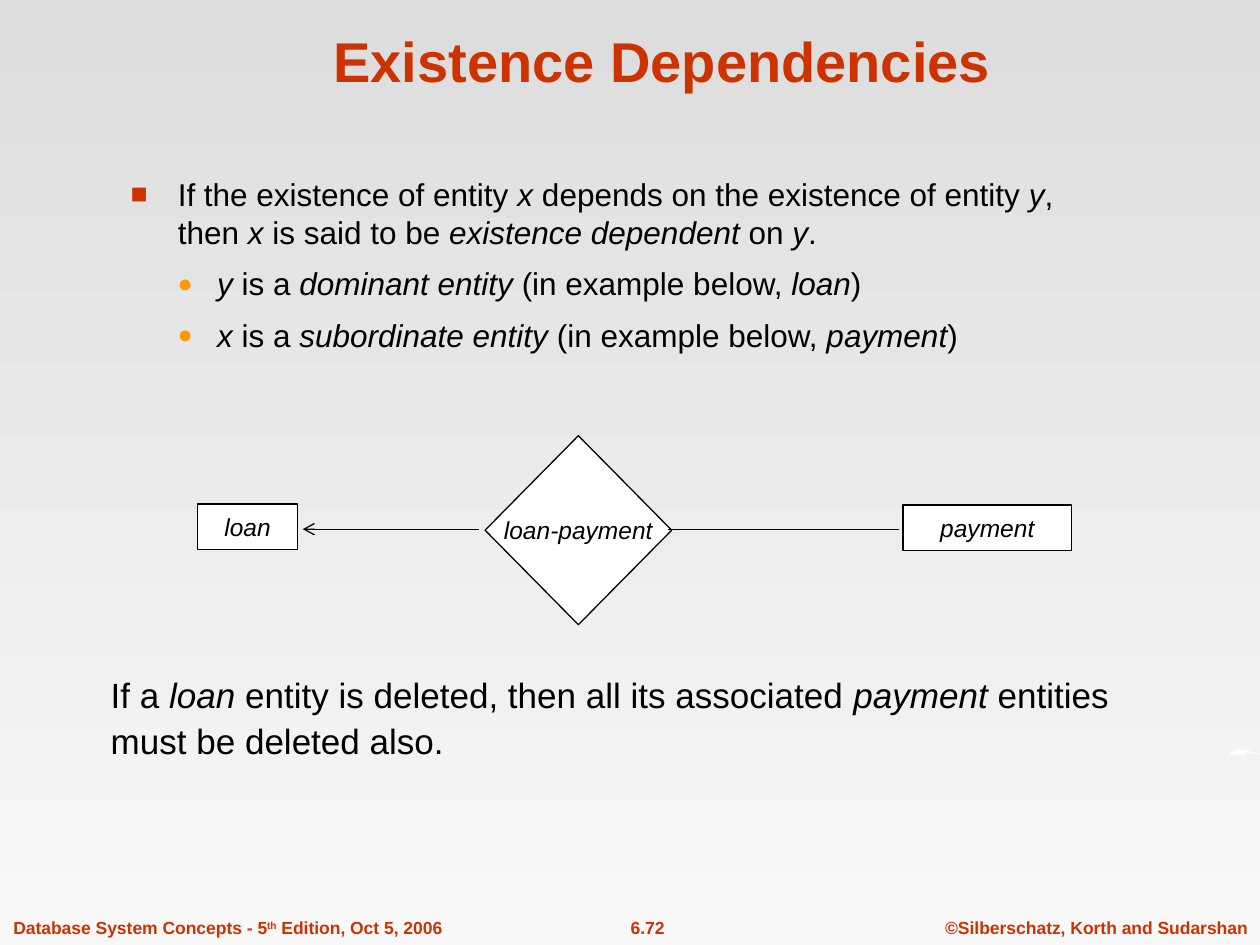
import pptx
import pptx.util
import pptx.dml.color
import pptx.enum.shapes
import pptx.enum.text
import pptx.oxml
import pptx.oxml.ns
from lxml import etree

Pt = pptx.util.Pt
RGBColor = pptx.dml.color.RGBColor
SHAPE = pptx.enum.shapes.MSO_SHAPE
ALIGN = pptx.enum.text.PP_ALIGN
ANCHOR = pptx.enum.text.MSO_ANCHOR
qn = pptx.oxml.ns.qn

BLACK = RGBColor(0, 0, 0)
WHITE = RGBColor(255, 255, 255)
RED = RGBColor(0xCC, 0x33, 0x00)
ORANGE = RGBColor(0xFF, 0x99, 0x00)
BG_TOP = RGBColor(0xDD, 0xDD, 0xDD)
BG_BOTTOM = RGBColor(0xF8, 0xF8, 0xF8)

# In all texts, *...* is italic and ^...^ is superscript.
TITLE = "Existence Dependencies"
BULLETS = [
    (0, "If the existence of entity *x* depends on the existence of entity *y*, "
        "then *x* is said to be *existence dependent *on *y*."),
    (1, "*y* is a *dominant entity* (in example below, *loan*)"),
    (1, "*x* is a *subordinate entity* (in example below, *payment*)"),
]
# level: text indent, hanging, character, colour, size in percent
BULLET_STYLES = [(27, 27, "■", RED, 90), (49.5, 22.5, "●", ORANGE, 80)]
CONCLUSION = ("If a *loan* entity is deleted, then all its associated* payment *"
              "entities must be deleted also.")
FOOTERS = [  # left, width, alignment, text
    (0.5, 300, ALIGN.LEFT, "Database System Concepts - 5^th^ Edition, Oct 5, 2006"),
    (334.8, 70.5, ALIGN.CENTER, "6.72"),
    (500, 220, ALIGN.RIGHT, "©Silberschatz, Korth and Sudarshan"),
]
NODES = [  # shape, box, label
    (SHAPE.DIAMOND, (277.2, 249, 106.6, 108), "loan-payment"),
    (SHAPE.RECTANGLE, (516, 288.5, 96.5, 26), "payment"),
    (SHAPE.RECTANGLE, (113, 288, 57, 26), "loan"),
]
LINK_Y = 302.4
LINKS = [(273.8, 173, True), (381.8, 513.5, False)]  # from x, to x, arrow
SWOOSH = [  # hundredths of an inch
    (975, 601), (976, 598), (979, 596), (983, 595), (988, 595), (994, 597),
    (1000, 598), (998, 599), (993, 598), (988, 597), (988, 600), (985, 597),
    (985, 600), (982, 597), (983, 600), (980, 598), (977, 599),
]


def add_runs(p, text, size, color, bold=False):
    for i, slanted in enumerate(text.split("*")):
        for j, part in enumerate(slanted.split("^")):
            if not part:
                continue
            r = p.add_run()
            r.text = part
            r.font.name = "Arial"
            r.font.size = Pt(size)
            r.font.color.rgb = color
            r.font.bold = bold
            r.font.italic = i % 2 == 1
            if j % 2:
                r.font._element.set("baseline", "30000")


def add_text_box(slide, box):
    tf = slide.shapes.add_textbox(*map(Pt, box)).text_frame
    tf.word_wrap = True
    return tf


def set_bullet(p, level):
    indent, hanging, char, color, percent = BULLET_STYLES[level]
    pPr = p._p.get_or_add_pPr()
    pPr.set("marL", str(Pt(indent)))
    pPr.set("indent", str(-Pt(hanging)))
    clr = etree.SubElement(pPr, qn("a:buClr"))
    etree.SubElement(clr, qn("a:srgbClr"), val=str(color))
    etree.SubElement(pPr, qn("a:buSzPct"), val=str(percent * 1000))
    etree.SubElement(pPr, qn("a:buFont"), typeface="Arial")
    etree.SubElement(pPr, qn("a:buChar"), char=char)


def add_background(slide):
    fill = slide.background.fill
    fill.gradient()
    fill.gradient_angle = 270
    for stop, position, color in zip(fill.gradient_stops, (0, 1), (BG_TOP, BG_BOTTOM)):
        stop.position = position
        stop.color.rgb = color


def add_swoosh(slide):
    builder = slide.shapes.build_freeform(*SWOOSH[0], scale=9144)
    builder.add_line_segments(SWOOSH[1:], close=True)
    sp = builder.convert_to_shape()
    sp.shadow.inherit = False
    sp.fill.solid()
    sp.fill.fore_color.rgb = WHITE
    sp.line.fill.background()


def add_node(slide, kind, box, label):
    sp = slide.shapes.add_shape(kind, *map(Pt, box))
    sp.shadow.inherit = False
    sp.fill.solid()
    sp.fill.fore_color.rgb = WHITE
    sp.line.color.rgb = BLACK
    sp.line.width = Pt(0.75)
    tf = sp.text_frame
    tf.word_wrap = False
    tf.vertical_anchor = ANCHOR.MIDDLE
    p = tf.paragraphs[0]
    p.alignment = ALIGN.CENTER
    add_runs(p, f"*{label}*", 14, BLACK)


def add_link(slide, x1, x2, arrow):
    cxn = slide.shapes.add_connector(
        pptx.enum.shapes.MSO_CONNECTOR.STRAIGHT, Pt(x1), Pt(LINK_Y), Pt(x2), Pt(LINK_Y))
    cxn.line.color.rgb = BLACK
    cxn.line.width = Pt(0.75)
    if arrow:
        etree.SubElement(cxn.line._get_or_add_ln(), qn("a:tailEnd"), type="arrow")
    etree.SubElement(cxn._element.spPr, qn("a:effectLst"))


def main():
    prs = pptx.Presentation()
    prs.slide_width, prs.slide_height = Pt(720), Pt(540)
    slide = prs.slides.add_slide(prs.slide_layouts[6])
    add_background(slide)

    for left, width, align, text in FOOTERS:
        p = add_text_box(slide, (left, 520.5, width, 19.5)).paragraphs[0]
        p.alignment = align
        add_runs(p, text, 10, RED, bold=True)
    add_swoosh(slide)

    tf = add_text_box(slide, (60.5, 9, 635.8, 48))
    tf.vertical_anchor = ANCHOR.BOTTOM
    tf.paragraphs[0].alignment = ALIGN.CENTER
    add_runs(tf.paragraphs[0], TITLE, 32, RED, bold=True)

    tf = add_text_box(slide, (67.5, 96.5, 553.7, 125.3))
    for i, (level, text) in enumerate(BULLETS):
        p = tf.add_paragraph() if i else tf.paragraphs[0]
        p.level = level
        if i:
            p.space_before = Pt(7.9)
        set_bullet(p, level)
        add_runs(p, text, 18, BLACK)

    for node in NODES:
        add_node(slide, *node)
    for link in LINKS:
        add_link(slide, *link)

    p = add_text_box(slide, (56.2, 378.7, 597.6, 64.8)).paragraphs[0]
    p.line_spacing = 1.1
    add_runs(p, CONCLUSION, 20, BLACK)

    prs.save("out.pptx")


if __name__ == "__main__":
    main()
